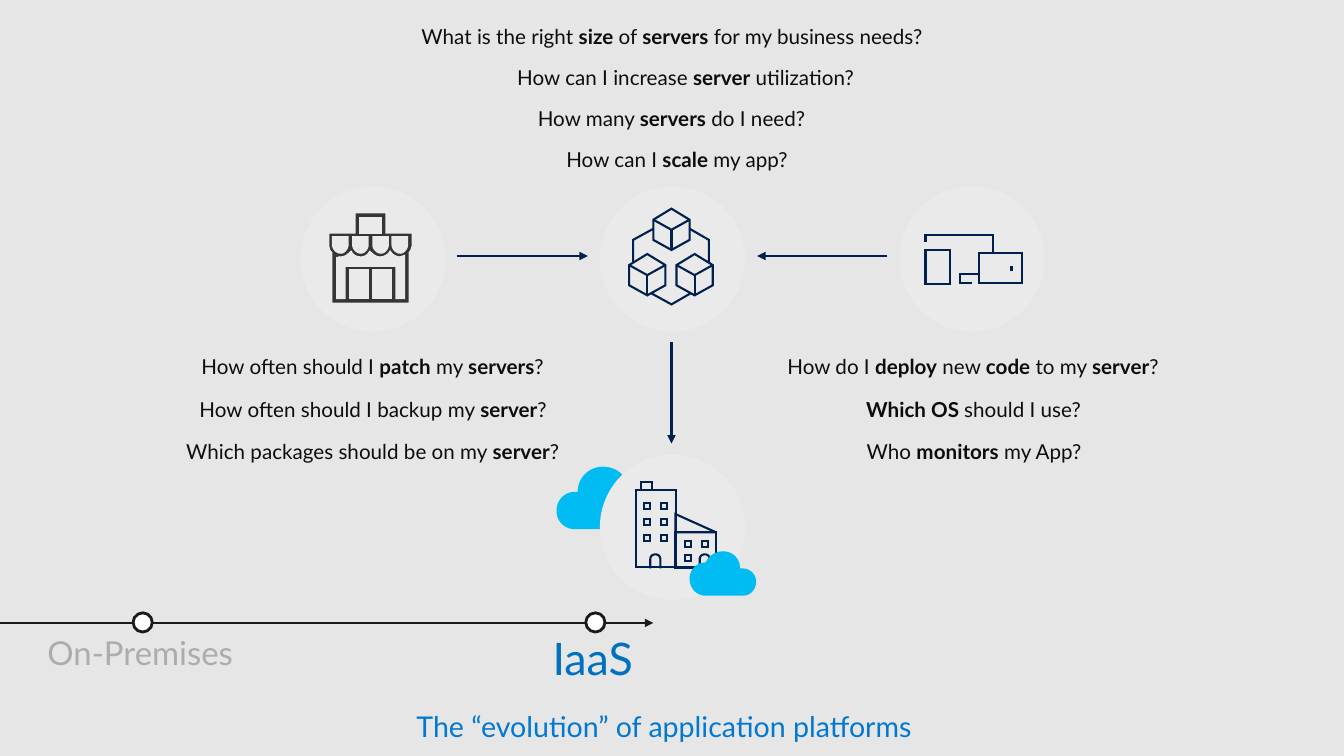
from lxml import etree
from pptx import Presentation
from pptx.dml.color import RGBColor
from pptx.enum.shapes import MSO_CONNECTOR, MSO_SHAPE
from pptx.enum.text import MSO_ANCHOR, MSO_AUTO_SIZE, PP_ALIGN
from pptx.oxml.ns import qn
from pptx.util import Inches, Pt

RECT, OVAL = MSO_SHAPE.RECTANGLE, MSO_SHAPE.OVAL
TRIANGLE = MSO_SHAPE.ISOSCELES_TRIANGLE
STRAIGHT = MSO_CONNECTOR.STRAIGHT
LEFT, CENTER = PP_ALIGN.LEFT, PP_ALIGN.CENTER
MIDDLE = MSO_ANCHOR.MIDDLE
FIT, NO_FIT = MSO_AUTO_SIZE.SHAPE_TO_FIT_TEXT, MSO_AUTO_SIZE.NONE
NAVY, INK, TEXT, DISC, CLOUD = "002050", "1A1A1A", "0D0D0D", "EAEAEA", "00BCF2"


def rgb(value):
    return RGBColor.from_string(value)


def flatten(outline, steps=12):
    """Turn points (x, y) and cubic curves (x1, y1, x2, y2, x, y) into points."""
    points = []
    for seg in outline:
        if len(seg) == 2:
            points.append(seg)
            continue
        x0, y0 = points[-1]
        x1, y1, x2, y2, x3, y3 = seg
        for i in range(1, steps + 1):
            t = i / steps
            a, b, c, d = (1 - t)**3, 3 * t * (1 - t)**2, 3 * t * t * (1 - t), t**3
            points.append((a * x0 + b * x1 + c * x2 + d * x3,
                           a * y0 + b * y1 + c * y2 + d * y3))
    return [(Inches(x), Inches(y)) for x, y in points]


class Canvas:
    font = "Lato"

    def __init__(self, slide):
        self.slide = slide
        self.shapes = slide.shapes

    def group(self):
        self.shapes = self.slide.shapes.add_group_shape().shapes

    def ungroup(self):
        self.shapes = self.slide.shapes

    def paint(self, sp, fill, line, width):
        sp.shadow.inherit = False
        if fill:
            sp.fill.solid()
            sp.fill.fore_color.rgb = rgb(fill)
        else:
            sp.fill.background()
        if line:
            sp.line.color.rgb = rgb(line)
            sp.line.width = Pt(width)
            ln = sp.line._get_or_add_ln()
            etree.SubElement(ln, qn("a:miter")).set("lim", "800000")
        else:
            sp.line.fill.background()

    def shape(self, kind, x, y, w, h, fill=None, line=NAVY, width=1.5):
        sp = self.shapes.add_shape(kind, Inches(x), Inches(y), Inches(w), Inches(h))
        self.paint(sp, fill, line, width)
        return sp

    def disc(self, x, y):
        self.group()
        self.shape(OVAL, x, y, 1.44, 1.44, DISC, None)

    def freeform(self, *outlines, fill=None, line=NAVY, width=1.5, close=False):
        contours = [flatten(outline) for outline in outlines]
        fb = self.shapes.build_freeform(*contours[0][0])
        for i, points in enumerate(contours):
            if i:
                fb.move_to(*points[0])
            fb.add_line_segments(points[1:], close=close)
        self.paint(fb.convert_to_shape(), fill, line, width)

    def line(self, x1, y1, x2, y2, color=NAVY, width=2, arrow=False):
        cn = self.shapes.add_connector(STRAIGHT, Inches(x1), Inches(y1), Inches(x2), Inches(y2))
        cn.line.color.rgb = rgb(color)
        cn.line.width = Pt(width)
        if arrow:
            ln = cn.line._get_or_add_ln()
            etree.SubElement(ln, qn("a:tailEnd")).set("type", "triangle")
        etree.SubElement(cn._element.spPr, qn("a:effectLst"))

    def add_runs(self, p, text, size, color):
        """Add runs; parts between asterisks are bold."""
        for i, part in enumerate(text.split("*")):
            if part:
                r = p.add_run()
                r.text = part
                r.font.name, r.font.size = self.font, Pt(size)
                r.font.color.rgb = rgb(color)
                r.font.bold = i % 2 == 1

    def text_box(self, x, y, w, h, wrap):
        tf = self.shapes.add_textbox(Inches(x), Inches(y), Inches(w), Inches(h)).text_frame
        tf.word_wrap = wrap
        tf.auto_size = FIT
        return tf

    def question(self, x, y, w, text):
        p = self.text_box(x, y, w, 0.35, True).paragraphs[0]
        p.alignment = CENTER
        self.add_runs(p, text, 14.7, TEXT)

    def label(self, x, y, w, h, text, size, color):
        tf = self.text_box(x, y, w, h, False)
        tf.margin_left = tf.margin_right = Inches(0.2)
        tf.margin_top = tf.margin_bottom = Inches(0.16)
        p = tf.paragraphs[0]
        p.line_spacing, p.space_after = 0.9, Pt(5.9)
        self.add_runs(p, text, size, color)

    def title(self, x, y, w, h, text, size, color):
        sp = self.slide.shapes.title
        sp.left, sp.top, sp.width, sp.height = Inches(x), Inches(y), Inches(w), Inches(h)
        tf = sp.text_frame
        tf.word_wrap, tf.auto_size, tf.vertical_anchor = True, NO_FIT, MIDDLE
        p = tf.paragraphs[0]
        p.alignment, p.line_spacing = LEFT, 0.7
        self.add_runs(p, text, size, color)


prs = Presentation()
prs.slide_width, prs.slide_height = Inches(13.33), Inches(7.5)
s = prs.slides.add_slide(prs.slide_layouts[5])
s.background.fill.solid()
s.background.fill.fore_color.rgb = rgb("E6E6E6")
c = Canvas(s)
c.title(4.03, 7.07, 5.19, 0.35, "The “evolution” of application platforms", 20.4, "0078D4")

# Timeline
c.label(5.28, 6.16, 1.21, 0.8, "IaaS", 32, "0070C0")
c.label(0.27, 6.16, 2.25, 0.67, "On-Premises", 23.5, "AFABAB")
c.line(-0.01, 6.18, 6.48, 6.18, INK, arrow=True)
for x in (1.32, 5.81):
    c.shape(OVAL, x, 6.08, 0.19, 0.19, "FFFFFF", INK, 2)

# Questions: top y, row step, then left, width and text of each row
QUESTIONS = [
    (0.19, 0.405, [(3.61, 6.11, "What is the right *size* of *servers* for my business needs?"),
                   (4.87, 3.86, "How can I increase *server* utilization?"),
                   (4.59, 4.14, "How many *servers* do I need?"),
                   (5.43, 2.57, "How can I *scale* my app?")]),
    (3.46, 0.425, [(1.65, 4.09, "How often should I *patch* my *servers*?"),
                   (1.84, 3.72, "How often should I backup my *server*?"),
                   (1.55, 4.29, "Which packages should be on my *server*?")]),
    (3.46, 0.425, [(7, 5.3, "How do I *deploy* new *code* to my *server*?"),
                   (8.3, 2.71, "*Which OS *should I use?"),
                   (7.42, 4.48, "Who *monitors* my App?")]),
]
for top, step, rows in QUESTIONS:
    for i, (x, w, text) in enumerate(rows):
        c.question(x, top + i * step, w, text)

# Cloud behind the buildings
c.freeform([(5.73, 4.88), (5.73, 4.74, 5.84, 4.63, 5.98, 4.63), (6.09, 4.63, 6.18, 4.69, 6.22, 4.78),
            (6.35, 4.78, 6.45, 4.89, 6.45, 5.02), (6.45, 5.15, 6.35, 5.25, 6.22, 5.25), (5.7, 5.25),
            (5.6, 5.25, 5.52, 5.17, 5.52, 5.07), (5.52, 4.96, 5.6, 4.88, 5.7, 4.88)],
           fill=CLOUD, line=None, close=True)

# Buildings
c.disc(5.95, 4.51)
c.shape(RECT, 6.31, 4.86, 0.4, 0.77)
c.shape(RECT, 6.36, 4.78, 0.11, 0.08)
c.shape(RECT, 6.7, 5.28, 0.4, 0.35)
c.shape(TRIANGLE, 6.7, 5.1, 0.4, 0.18).adjustments[0] = 0
tower = [(x, y) for y in (4.99, 5.15, 5.31) for x in (6.39, 6.56)]
for x, y in tower + [(6.79, 5.37), (6.96, 5.37), (6.79, 5.51)]:
    c.shape(RECT, x, y, 0.06, 0.06)
for x in (6.45, 6.94):
    c.freeform([(x + 0.1, 5.64), (x + 0.1, 5.55), (x + 0.1, 5.52, x + 0.08, 5.5, x + 0.05, 5.5),
                (x + 0.02, 5.5, x, 5.52, x, 5.55), (x, 5.64)])

# Linked cubes
c.disc(5.95, 1.85)
for x, y in ((6.71, 2.52), (6.24, 2.52), (6.48, 2.07)):
    mid, right = x + 0.18, x + 0.36
    c.freeform([(x, y + 0.11), (mid, y), (right, y + 0.11), (right, y + 0.31),
                (mid, y + 0.41), (x, y + 0.31)], close=True)
    c.freeform([(right, y + 0.11), (mid, y + 0.21), (x, y + 0.11)])
    c.line(mid, y + 0.2, mid, y + 0.41, width=1.5)
for link in ([(6.85, 2.91), (6.66, 3.02), (6.46, 2.91)], [(6.84, 2.27), (7.03, 2.38), (7.03, 2.6)],
             [(6.28, 2.6), (6.28, 2.38), (6.48, 2.27)]):
    c.freeform(link)

# Shop
c.disc(2.98, 1.85)
front = [(3.28, 3.02), (4.07, 3.02), (4.07, 2.51), (4.08, 2.5, 4.1, 2.46, 4.1, 2.43), (4.1, 2.3),
         (3.84, 2.3), (3.84, 2.1), (3.51, 2.1), (3.51, 2.3), (3.25, 2.3), (3.25, 2.43),
         (3.25, 2.46, 3.26, 2.5, 3.28, 2.51)]
wall = [(3.94, 2.95), (3.94, 2.63), (3.41, 2.63), (3.41, 2.95), (3.35, 2.95), (3.35, 2.55),
        (3.35, 2.56, 3.37, 2.56, 3.38, 2.56), (3.42, 2.56, 3.45, 2.54, 3.48, 2.51),
        (3.5, 2.54, 3.53, 2.56, 3.58, 2.56), (3.62, 2.56, 3.65, 2.54, 3.67, 2.51),
        (3.7, 2.54, 3.73, 2.56, 3.77, 2.56), (3.81, 2.56, 3.85, 2.54, 3.87, 2.51),
        (3.89, 2.54, 3.93, 2.56, 3.97, 2.56), (4, 2.55), (4, 2.95)]
panes = [[(x, y), (x + w, y), (x + w, y + h), (x, y + h)] for x, y, w, h in
         ((3.48, 2.69, 0.16, 0.26), (3.71, 2.69, 0.16, 0.26), (3.58, 2.17, 0.19, 0.13))]
awning = [[(x, 2.36), (x + 0.13, 2.36), (x + 0.13, 2.43),
           (x + 0.13, 2.46, x + 0.1, 2.5, x + 0.07, 2.5), (x + 0.03, 2.5, x, 2.46, x, 2.43)]
          for x in (3.31, 3.51, 3.71, 3.9)]
c.freeform(front, wall, *panes, *awning, fill="353535", line=DISC, width=2.5, close=True)

# Devices
c.disc(8.92, 1.85)
c.shape(RECT, 9.18, 2.48, 0.24, 0.34)
c.shape(RECT, 9.71, 2.51, 0.43, 0.3)
c.line(10.03, 2.69, 10.03, 2.64)
c.freeform([(9.71, 2.72), (9.52, 2.72), (9.52, 2.81), (9.64, 2.81)])
c.freeform([(9.18, 2.4), (9.18, 2.33), (9.85, 2.33), (9.85, 2.51)])

# Arrows and front cloud
c.ungroup()
for ends in ((4.53, 2.54, 5.83, 2.54), (8.8, 2.54, 7.51, 2.54), (6.66, 3.39, 6.66, 4.4)):
    c.line(*ends, arrow=True)
c.freeform([(7.34, 5.64), (7.34, 5.54, 7.27, 5.47, 7.17, 5.47), (7.1, 5.47, 7.03, 5.51, 7, 5.58),
            (6.91, 5.58, 6.84, 5.65, 6.84, 5.74), (6.84, 5.84, 6.91, 5.91, 7, 5.91), (7.37, 5.91),
            (7.44, 5.91, 7.5, 5.85, 7.5, 5.77), (7.5, 5.7, 7.44, 5.64, 7.37, 5.64)],
           fill=CLOUD, line=None, close=True)

prs.save("out.pptx")
